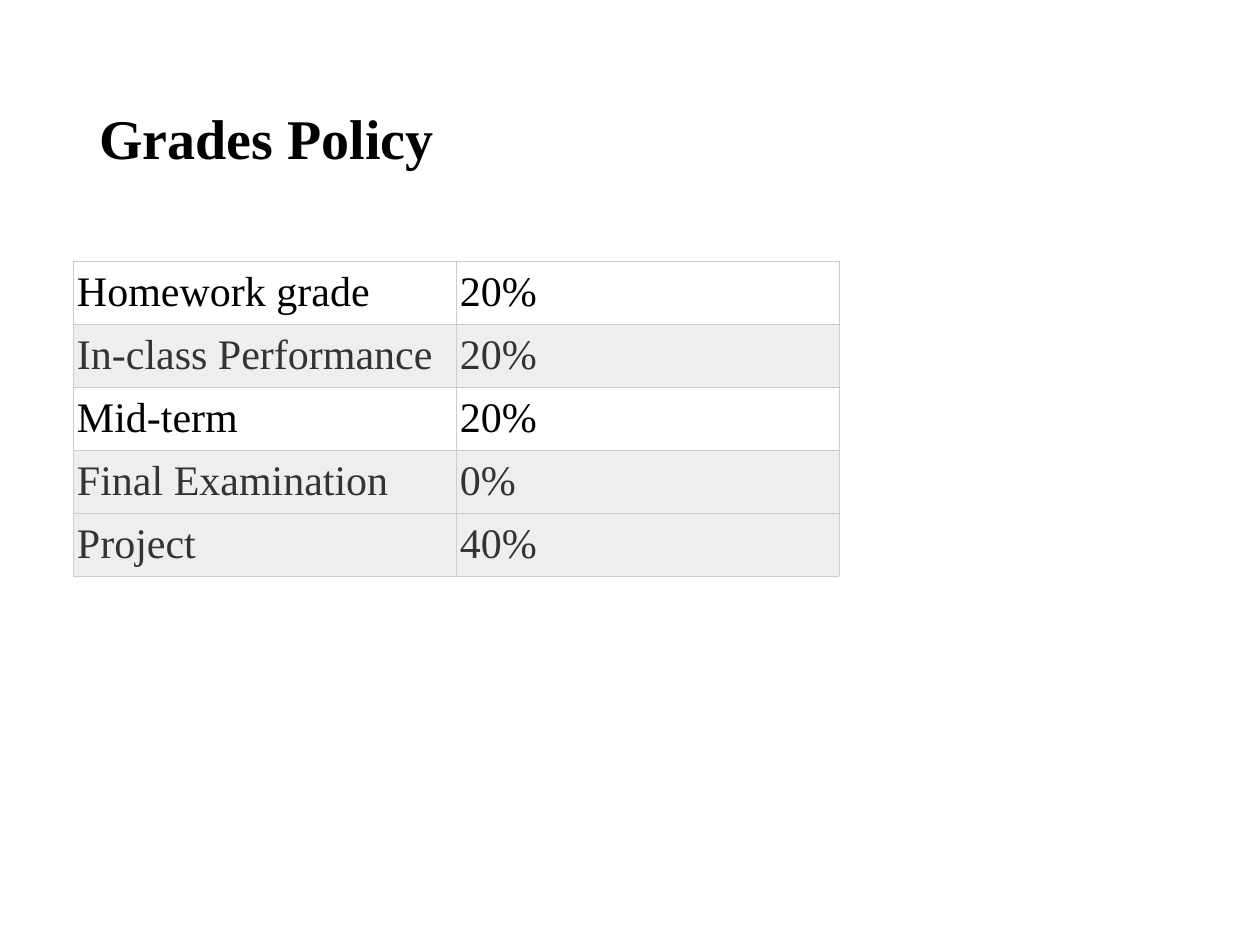
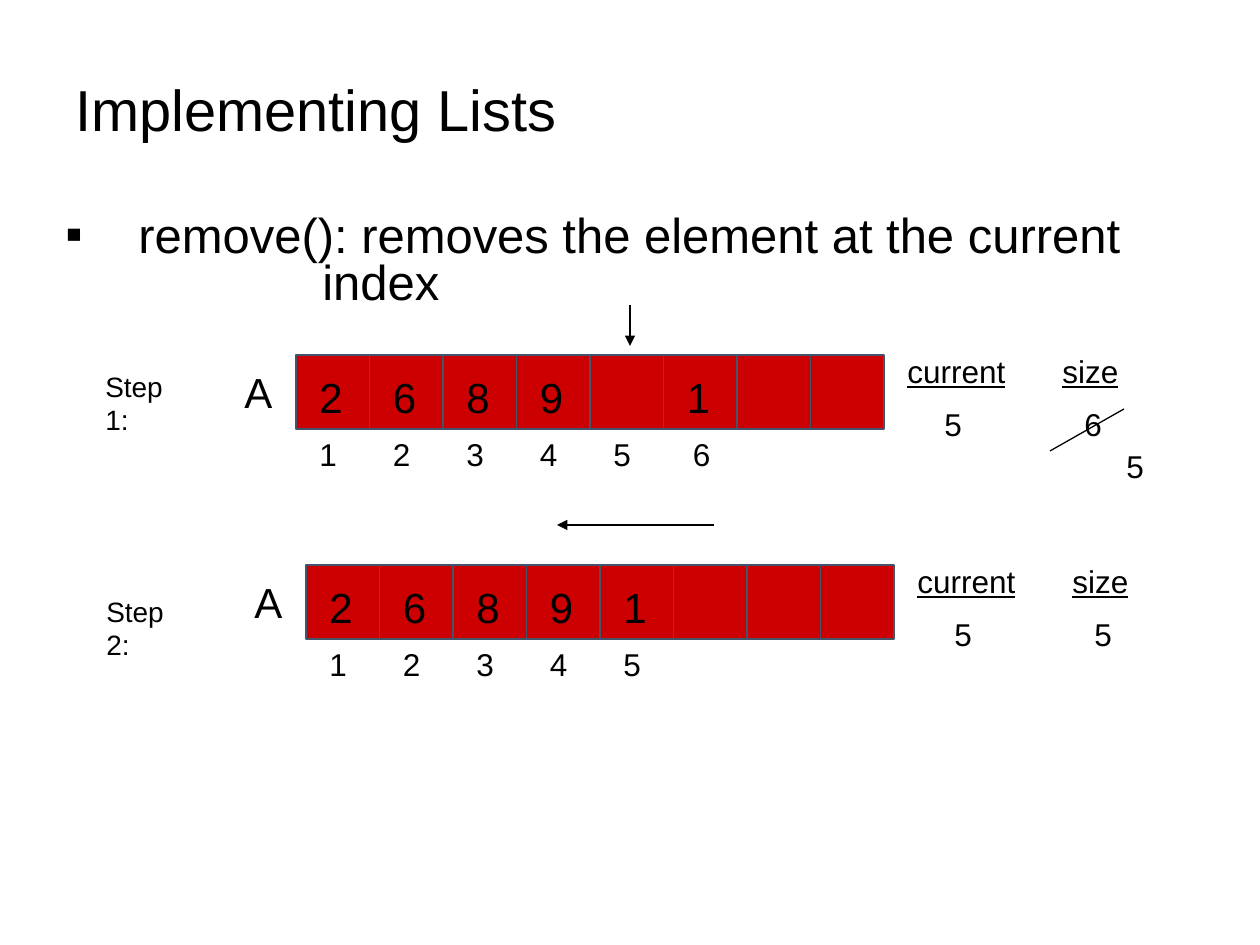
from pptx import Presentation
from pptx import util as u
from pptx.dml.color import RGBColor
from pptx.enum import shapes, text
from pptx.oxml import parse_xml
from pptx.oxml.ns import nsdecls, qn
from lxml import etree

COLOURS = {"ink": "000000", "soft": "333333", "plain": "FFFFFF", "shade": "EEEEEE",
           "grid": "CCCCCC", "cell": "CC0000", "edge": "44546A"}
SERIF, SANS = "Times New Roman", "Arial"

# label, share, row is shaded
GRADES = [
    ("Homework grade", "20%", False),
    ("In-class Performance", "20%", True),
    ("Mid-term", "20%", False),
    ("Final Examination", "0%", True),
    ("Project", "40%", True),
]
REMOVE_RULE = "remove(): removes the element at the current\v\tindex"
STEPS = [
    {"label": "Step 1:", "label_at": (93, 363), "array_at": (296, 355),
     "values": ["2", "6", "8", "9", "", "1"], "indices": 6,
     "current": "5", "size": "6", "arrow": (630, 305, 630, 346)},
    {"label": "Step 2:", "label_at": (94, 588), "array_at": (306, 565),
     "values": ["2", "6", "8", "9", "1"], "indices": 5,
     "current": "5", "size": "5", "arrow": (714, 525, 557, 525)},
]
NEW_SIZE = ("5", (1114, 441))
SIZE_STRIKE = (1050, 451, 1124, 409)

CELLS = 8
ARRAY_WIDTH, ARRAY_HEIGHT = 588, 74
TABLE_AT, TABLE_COLUMN, TABLE_ROW = (73, 261), 383, 63
INDEX_NUDGE = {6: 6}  # extra px to the right


def px(length):
    return u.Emu(round(length * 914400 / 126))


def colour(name):
    return RGBColor.from_string(COLOURS[name])


def write(frame, words, size, font=SANS, ink="ink", bold=False, underline=False, spacing=None):
    para = frame.paragraphs[0]
    para.text = words
    para.line_spacing = spacing
    for span in para.runs:
        span.font.size = u.Pt(size)
        span.font.name = font
        span.font.bold = bold
        span.font.underline = underline
        span.font.color.rgb = colour(ink)
    return para


def add_text(page, words, at, extent, size, wrap=False, middle=False, **style):
    box = page.shapes.add_textbox(*map(px, at + extent))
    frame = box.text_frame
    frame.word_wrap = wrap
    frame.vertical_anchor = text.MSO_ANCHOR.MIDDLE if middle else text.MSO_ANCHOR.TOP
    return write(frame, words, size, **style)


def add_title(page, words, at, extent, size, **style):
    add_text(page, words, at, extent, size, wrap=True, middle=True, spacing=0.9, **style)


def add_line(page, ends, ink="ink", arrow=False):
    line = page.shapes.add_connector(shapes.MSO_CONNECTOR.STRAIGHT, *map(px, ends))
    line.line.color.rgb = colour(ink)
    line.line.width = u.Pt(0.75)
    properties = line._element.spPr
    if arrow:
        etree.SubElement(line.line._get_or_add_ln(), qn("a:tailEnd"), type="triangle")
    etree.SubElement(properties, qn("a:effectLst"))
    return line


def add_bullet(para, character, indent, tab):
    properties = para._p.get_or_add_pPr()
    properties.set("marL", str(px(indent)))
    properties.set("indent", str(-px(indent)))
    for tag in (f'<a:buFont {nsdecls("a")} typeface="{SANS}"/>',
                f'<a:buChar {nsdecls("a")} char="{character}"/>',
                f'<a:tabLst {nsdecls("a")}><a:tab pos="{px(tab)}" algn="l"/></a:tabLst>'):
        properties.append(parse_xml(tag))


def border(cell):
    for side in ("lnL", "lnR", "lnT", "lnB"):
        cell._tc.get_or_add_tcPr().append(parse_xml(
            f'<a:{side} {nsdecls("a")} w="{u.Pt(0.34)}"><a:solidFill>'
            f'<a:srgbClr val="{COLOURS["grid"]}"/></a:solidFill></a:{side}>'))


def add_grades(page):
    extent = (2 * TABLE_COLUMN, len(GRADES) * TABLE_ROW)
    table = page.shapes.add_table(len(GRADES), 2, *map(px, TABLE_AT + extent)).table
    table.first_row = table.horz_banding = False
    for row, (*entries, shaded) in enumerate(GRADES):
        for column, entry in enumerate(entries):
            cell = table.cell(row, column)
            border(cell)
            cell.fill.solid()
            cell.fill.fore_color.rgb = colour("shade" if shaded else "plain")
            cell.vertical_anchor = text.MSO_ANCHOR.MIDDLE
            cell.margin_left = cell.margin_right = px(4)
            cell.margin_top = cell.margin_bottom = px(6)
            write(cell.text_frame, entry, 24, font=SERIF, ink="soft" if shaded else "ink")


def add_array(page, left, top):
    """Draw the row of cells with its dividers."""
    row = page.shapes.add_shape(shapes.MSO_SHAPE.RECTANGLE,
                                *map(px, (left, top, ARRAY_WIDTH, ARRAY_HEIGHT)))
    row.shadow.inherit = False
    row.fill.solid()
    row.fill.fore_color.rgb = colour("cell")
    row.line.color.rgb = colour("edge")
    row.line.width = u.Pt(0.75)
    for slot in range(1, CELLS):
        x = left + slot * ARRAY_WIDTH / CELLS
        divider = add_line(page, (x, top, x, top + ARRAY_HEIGHT), ink="edge")
        if 2 * slot == CELLS:
            divider.begin_connect(row, 0)
            divider.end_connect(row, 2)


def add_step(page, step):
    left, top = step["array_at"]
    add_array(page, left, top)
    add_text(page, step["label"], step["label_at"], (113, 47), 16)
    add_text(page, "A", (left - 64, top + 5), (53, 63), 24)

    first = left + 11
    pitch = ARRAY_WIDTH / CELLS
    for slot, value in enumerate(step["values"]):
        if value:
            add_text(page, value, (first + slot * pitch, top + 10), (48, 63), 24)
    for index in range(1, step["indices"] + 1):
        x = first + (index - 1) * pitch + INDEX_NUDGE.get(index, 0)
        add_text(page, str(index), (x, top + ARRAY_HEIGHT), (43, 50), 18)

    for name, name_x, width, value_x in (("current", 599, 123, 636), ("size", 754, 88, 776)):
        add_text(page, name, (left + name_x, top - 9), (width, 50), 18, underline=True)
        add_text(page, step[name], (left + value_x, top + 44), (43, 50), 18)
    add_line(page, step["arrow"], arrow=True)


def main():
    deck = Presentation()
    deck.slide_width, deck.slide_height = px(1260), px(945)
    blank = deck.slide_layouts[6]

    page = deck.slides.add_slide(blank)
    add_title(page, "Grades Policy", (87, 50), (1087, 183), 32, font=SERIF, bold=True)
    add_grades(page)

    page = deck.slides.add_slide(blank)
    add_title(page, "Implementing Lists", (63, 50), (1134, 126), 33)
    rule = add_text(page, REMOVE_RULE, (53, 210), (1134, 137), 28, wrap=True, spacing=0.8)
    add_bullet(rule, "▪", indent=73, tab=257)
    for step in STEPS:
        add_step(page, step)
    add_text(page, *NEW_SIZE, (43, 50), 18)
    add_line(page, SIZE_STRIKE)

    deck.save("out.pptx")


if __name__ == "__main__":
    main()
